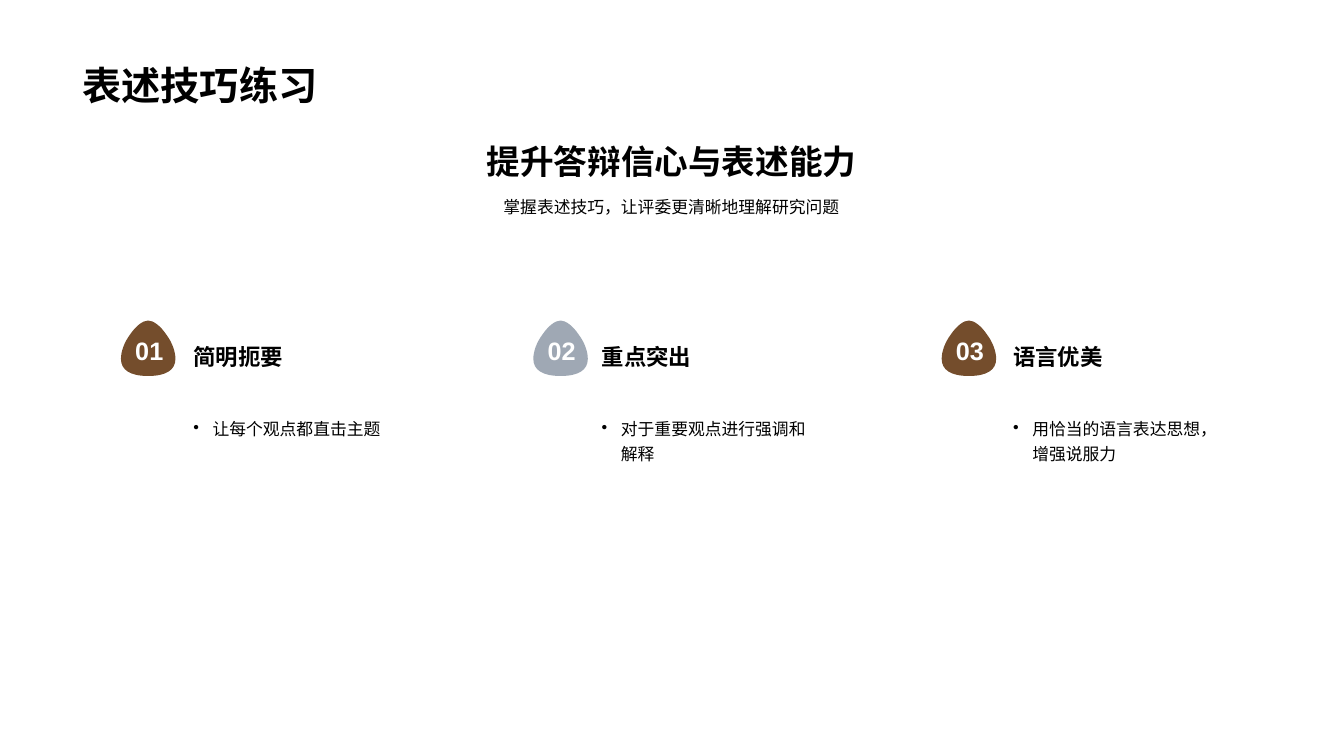
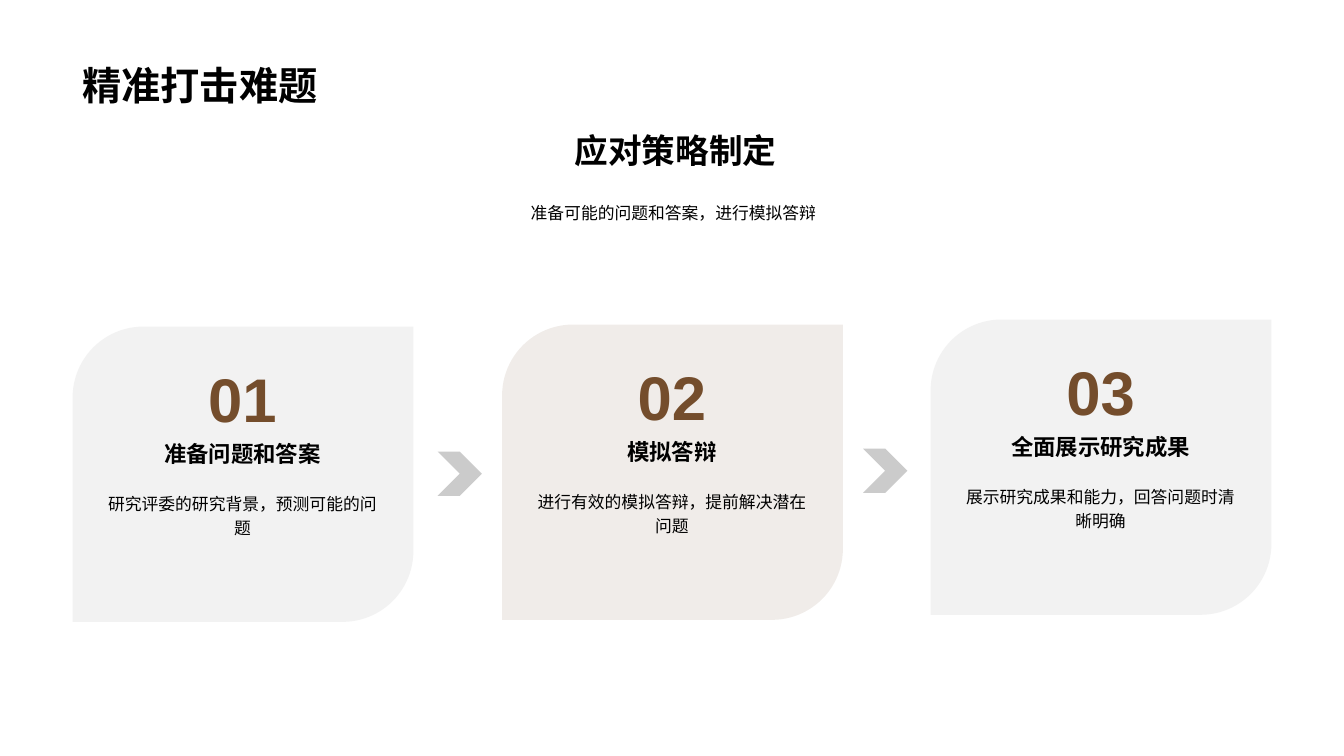
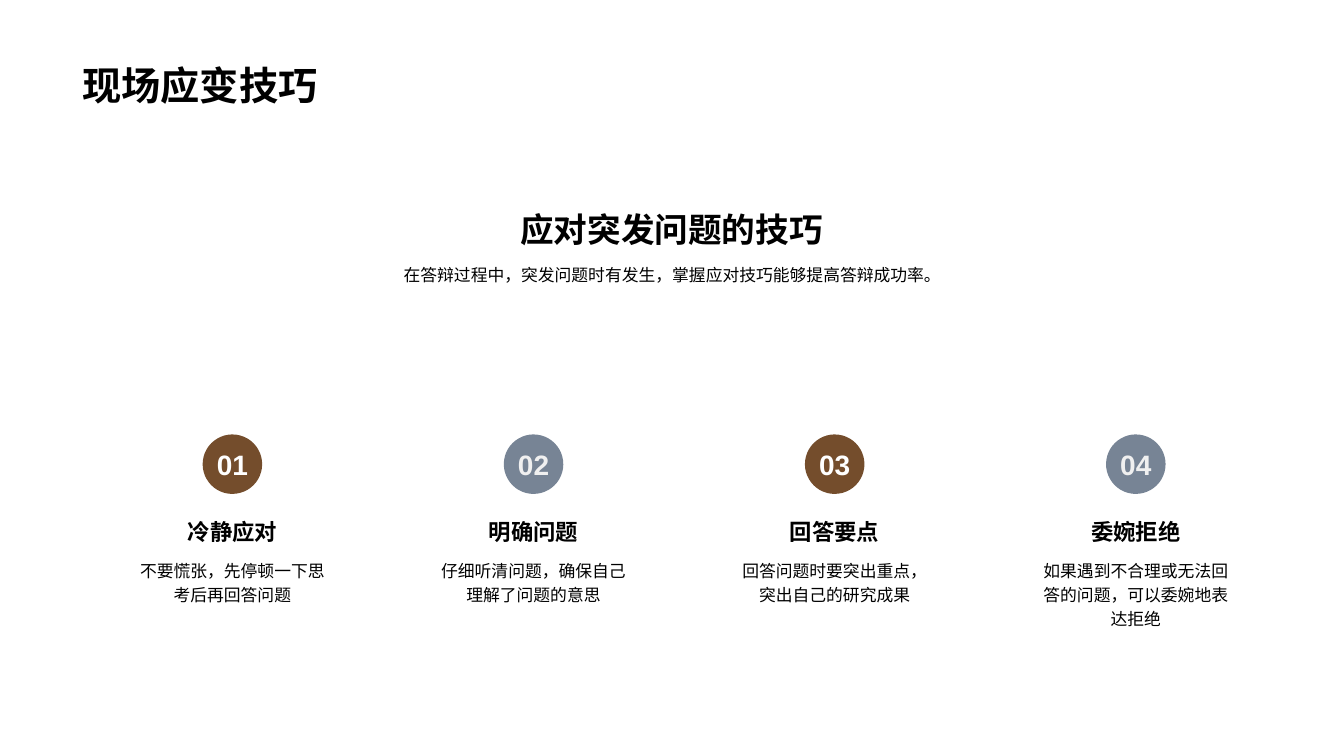
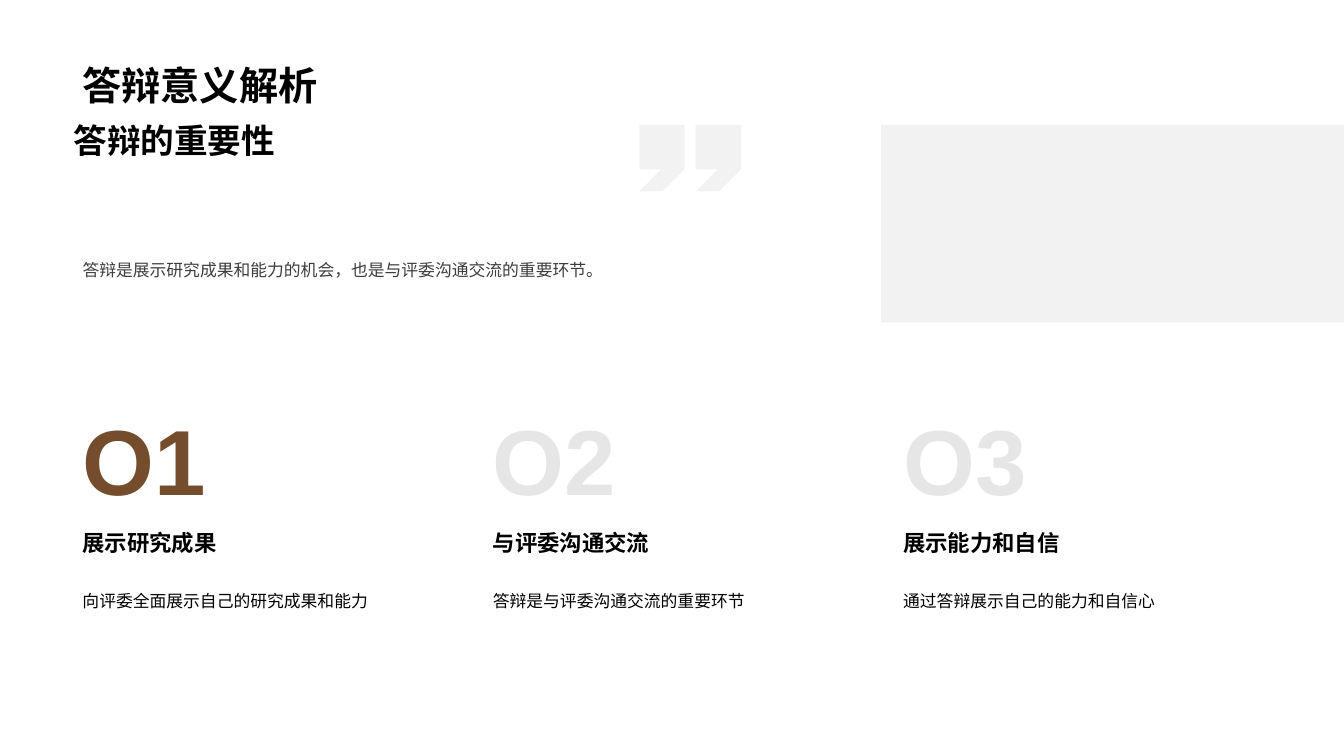
from math import ceil

from lxml.etree import SubElement
from pptx import Presentation
from pptx.dml.color import RGBColor
from pptx.enum.lang import MSO_LANGUAGE_ID
from pptx.enum.shapes import MSO_SHAPE
from pptx.enum.text import MSO_ANCHOR, PP_ALIGN
from pptx.oxml.ns import qn
from pptx.util import Inches, Pt

BLACK = RGBColor(0x00, 0x00, 0x00)
WHITE = RGBColor(0xFF, 0xFF, 0xFF)
BROWN = RGBColor(0x74, 0x4D, 0x2C)
SLATE = RGBColor(0x77, 0x84, 0x95)
SILVER = RGBColor(0xBF, 0xBF, 0xBF)
PALE = RGBColor(0xF0, 0xF0, 0xF0)
MIST = RGBColor(0xE6, 0xE6, 0xE6)
INK = RGBColor(0x0D, 0x0D, 0x0D)
GREY = RGBColor(0x3D, 0x3D, 0x3D)

FONT = "Arial"
WIDE, HIGH = 13.33, 7.5
EDGE, SPAN = 0.72, 11.88
LEFT, MID = PP_ALIGN.LEFT, PP_ALIGN.CENTER
TOP, CORE, BASE = MSO_ANCHOR.TOP, MSO_ANCHOR.MIDDLE, MSO_ANCHOR.BOTTOM

SPEAK = {
    "title": "表述技巧练习",
    "head": "提升答辩信心与表述能力",
    "lead": "掌握表述技巧，让评委更清晰地理解研究问题",
    # badge left, text left, badge colour, opacity, heading, body
    "items": [
        (1.2, 1.82, BROWN, 100, "简明扼要", "让每个观点都直击主题"),
        (5.29, 5.87, SLATE, 70, "重点突出", "对于重要观点进行强调和解释"),
        (9.34, 9.95, BROWN, 100, "语言优美", "用恰当的语言表达思想，增强说服力"),
    ],
}
PLAN = {
    "title": "精准打击难题",
    "head": "应对策略制定",
    "lead": "准备可能的问题和答案，进行模拟答辩",
    # card left, card top, colour, opacity, heading, body
    "items": [
        (0.72, 3.24, SILVER, 20, "准备问题和答案", "研究评委的研究背景，预测可能的问题"),
        (4.98, 3.22, BROWN, 10, "模拟答辩", "进行有效的模拟答辩，提前解决潜在问题"),
        (9.23, 3.17, SILVER, 20, "全面展示研究成果", "展示研究成果和能力，回答问题时清晰明确"),
    ],
    "arrows": [(4.34, 4.48), (8.56, 4.45)],
}
REACT = {
    "title": "现场应变技巧",
    "head": "应对突发问题的技巧",
    "lead": "在答辩过程中，突发问题时有发生，掌握应对技巧能够提高答辩成功率。",
    "items": [
        ("冷静应对", "不要慌张，先停顿一下思考后再回答问题"),
        ("明确问题", "仔细听清问题，确保自己理解了问题的意思"),
        ("回答要点", "回答问题时要突出重点，突出自己的研究成果"),
        ("委婉拒绝", "如果遇到不合理或无法回答的问题，可以委婉地表达拒绝"),
    ],
}
VALUE = {
    "title": "答辩意义解析",
    "head": "答辩的重要性",
    "lead": "答辩是展示研究成果和能力的机会，也是与评委沟通交流的重要环节。",
    "items": [
        (BROWN, "展示研究成果", "向评委全面展示自己的研究成果和能力"),
        (MIST, "与评委沟通交流", "答辩是与评委沟通交流的重要环节"),
        (MIST, "展示能力和自信", "通过答辩展示自己的能力和自信心"),
    ],
}

QUOTE = [(0, 0), (0, 0.44), (0.22, 0.44), (0, 0.66), (0.23, 0.66), (0.45, 0.44), (0.45, 0)]
# Left half of the badge from foot to tip: each node is followed by two handles
BADGE = 0.55
HALF = [(0.27, 0.55), (0.09, 0.55), (0, 0.49), (0, 0.38), (0, 0.31), (0.03, 0.22),
        (0.09, 0.14), (0.15, 0.05), (0.22, 0), (0.27, 0)]
PEBBLE = HALF + [(BADGE - 0.01 - x, y) for x, y in HALF[-2::-1]]


def write(shape, text, size, color, bold, align, anchor, wrap, dot=False):
    frame = shape.text_frame
    frame.word_wrap = wrap
    frame.vertical_anchor = anchor
    para = frame.paragraphs[0]
    para.text = text
    para.alignment = align
    if dot:
        props = para._p.get_or_add_pPr()
        props.set("marL", str(Inches(0.19)))
        props.set("indent", str(-Inches(0.19)))
        SubElement(props, qn("a:buChar"), char="•")
    if size == 12:
        para.line_spacing = 1.2
    font = para.font
    font.name, font.size, font.bold = FONT, Pt(size), bold
    font.color.rgb = color
    font.language_id = MSO_LANGUAGE_ID.SIMPLIFIED_CHINESE


def label(slide, box, text, size, color=BLACK, bold=True, align=MID,
          anchor=BASE, wrap=True, dot=False):
    shape = slide.shapes.add_textbox(*map(Inches, box))
    write(shape, text, size, color, bold, align, anchor, wrap, dot)


def topic(slide, box, text, align=MID):
    label(slide, box, text, 16, align=align, wrap=False)


def body(slide, box, text, align=MID, color=BLACK, dot=False):
    label(slide, box, text, 12, color, False, align, TOP, dot=dot)


def paint(shape, color, alpha=100):
    shape.shadow.inherit = False
    shape.fill.solid()
    shape.fill.fore_color.rgb = color
    shape.line.fill.background()
    if alpha < 100:
        tint = shape._element.spPr.find(".//" + qn("a:srgbClr"))
        SubElement(tint, qn("a:alpha"), val=str(alpha * 1000))


def block(slide, kind, box, color, alpha=100, bend=None):
    shape = slide.shapes.add_shape(kind, *map(Inches, box))
    if bend is not None:
        shape.adjustments[0] = bend
    paint(shape, color, alpha)
    return shape


def outline(slide, left, top, points, color, alpha=100):
    spots = [(Inches(left + x), Inches(top + y)) for x, y in points]
    pen = slide.shapes.build_freeform(*spots[0])
    pen.add_line_segments(spots[1:], close=True)
    shape = pen.convert_to_shape()
    paint(shape, color, alpha)
    return shape


def badge(slide, left, top, color, alpha):
    """Draw the nodes as a polygon, then turn each side into a cubic curve."""
    shape = outline(slide, left, top, PEBBLE[::3], color, alpha)
    sides = shape._element.spPr.findall(".//" + qn("a:lnTo"))
    for n, side in enumerate(sides):
        side.tag = qn("a:cubicBezTo")
        for k, (x, y) in enumerate(PEBBLE[3 * n + 1:3 * n + 3]):
            spot = side.makeelement(qn("a:pt"), {"x": str(Inches(x)), "y": str(Inches(y))})
            side.insert(k, spot)


def start(deck, data):
    slide = deck.slides.add_slide(deck.slide_layouts[6])
    label(slide, (EDGE, 0, SPAN, 1.12), data["title"], 28, align=LEFT)
    return slide


def speak(deck, data):
    slide = start(deck, data)
    label(slide, (EDGE, 1.13, SPAN, 0.72), data["head"], 24)
    body(slide, (EDGE, 1.86, SPAN, 0.32), data["lead"])
    for n, (left, x, color, alpha, head, text) in enumerate(data["items"], 1):
        topic(slide, (x, 3.21, 1.93, 0.51), head, LEFT)
        body(slide, (x, 4.07, 2.26, 2), text, LEFT, dot=True)
        badge(slide, left, 3.18, color, alpha)
        label(slide, (left + 0.04, 3.28, 0.48, 0.4), f"{n:02}", 18, WHITE,
              anchor=TOP, wrap=False)


def plan(deck, data):
    slide = start(deck, data)
    for n, (x, y, color, alpha, head, text) in enumerate(data["items"], 1):
        block(slide, MSO_SHAPE.ROUND_2_DIAG_RECTANGLE, (x, y, 3.38, 2.93), color, alpha, 0.24)
        label(slide, (x + 1.24, y + 0.28, 0.89, 0.84), f"{n:02}", 44, BROWN, wrap=False)
        topic(slide, (x + 0.23, y + 1.07, 2.91, 0.37), head)
        body(slide, (x + 0.23, y + 1.57, 2.91, 0.56), text)
    for x, y in data["arrows"]:
        block(slide, MSO_SHAPE.CHEVRON, (x, y, 0.44, 0.44), SILVER, 80)
    body(slide, (2.35, 1.92, 8.66, 0.32), data["lead"])
    label(slide, (2.37, 1.24, 8.66, 0.5), data["head"], 24, anchor=TOP)


def react(deck, data):
    slide = start(deck, data)
    looks = [(BROWN, WHITE), (SLATE, PALE)]
    step = (10.19 - 1.23) / 3
    for n, (head, text) in enumerate(data["items"]):
        x = 1.23 + step * n
        rows = ceil(len(text) / 11)
        fill, tone = looks[n % 2]
        topic(slide, (x, 5.09, 2.15, 0.37), head)
        body(slide, (x, 5.47, 2.15, 0.08 + 0.24 * rows), text)
        disc = block(slide, MSO_SHAPE.ROUNDED_RECTANGLE, (x + 0.78, 4.31, 0.59, 0.59),
                     fill, bend=0.5)
        write(disc, f"{n + 1:02}", 20, tone, True, MID, CORE, False)
    label(slide, (2.97, 1.29, 7.38, 1.23), data["head"], 24)
    body(slide, (3.28, 2.54, 6.78, 0.32), data["lead"])


def value(deck, data):
    slide = start(deck, data)
    label(slide, (0.63, 1.14, 5.11, 0.5), data["head"], 24, align=LEFT, anchor=TOP)
    body(slide, (EDGE, 2.49, 5.62, 0.32), data["lead"], LEFT, GREY)
    for x in (6.9, 6.34):
        outline(slide, x, 1.24, QUOTE, INK, 5)
    for n, (color, head, text) in enumerate(data["items"]):
        x = EDGE + 4.07 * n
        topic(slide, (x, 5.16, 3.21, 0.41), head, LEFT)
        label(slide, (x, 3.95, 1.52, 1.21), f"O{n + 1}", 66, color, align=LEFT, anchor=TOP)
        body(slide, (x, 5.77, 3.76, 0.32), text, LEFT)
    block(slide, MSO_SHAPE.RECTANGLE, (8.74, 1.24, WIDE - 8.74, 1.96), INK, 5)


def main():
    deck = Presentation()
    deck.slide_width, deck.slide_height = Inches(WIDE), Inches(HIGH)
    speak(deck, SPEAK)
    plan(deck, PLAN)
    react(deck, REACT)
    value(deck, VALUE)
    deck.save("out.pptx")


if __name__ == "__main__":
    main()
